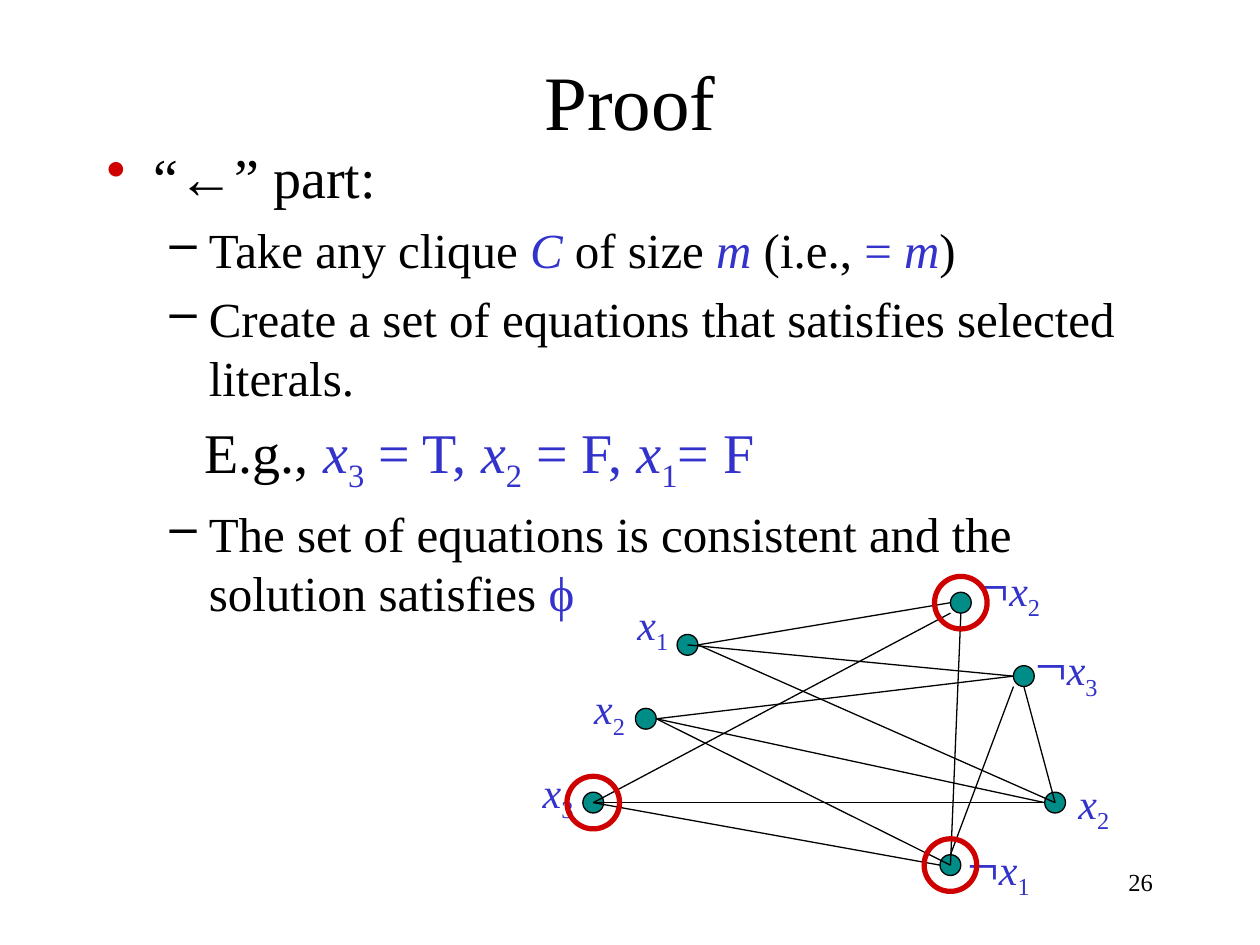
from lxml.etree import SubElement as Sub
from pptx import Presentation
from pptx.dml.color import RGBColor as Rgb
from pptx.enum.shapes import MSO_CONNECTOR as Conn, MSO_SHAPE as Form
from pptx.enum.text import MSO_ANCHOR as Anchor, MSO_AUTO_SIZE as Auto, PP_ALIGN as Align
from pptx.oxml.ns import qn
from pptx.util import Cm, Pt

INK = {"text": "000000", "math": "3333CC", "mark": "CE0000", "node": "008C87"}

# Run styles: plain, blue, variable, subscript
RUNS = {
    "": {"ink": "text"},
    "b": {"ink": "math"},
    "v": {"ink": "math", "italic": True},
    "s": {"ink": "math", "drop": "-25000"},
}

# Paragraph levels: size, left margin and hanging indent in cm, bullet
TOP = {"size": 32, "left": 0.95, "hang": -0.95, "mark": "•", "tint": "mark"}
SUB = {"size": 28, "left": 2.06, "hang": -0.79, "mark": "–"}
CASE = {"size": 32, "left": 1.98, "hang": 0}


class Page:
    font = "Times New Roman"

    def __init__(self, deck):
        self.slide = deck.slides.add_slide(deck.slide_layouts[6])
        self.shapes = self.slide.shapes

    def box(self, x, y, w, h, **fmt):
        frame = self.shapes.add_textbox(Cm(x), Cm(y), Cm(w), Cm(h)).text_frame
        for key, val in {"word_wrap": True, **fmt}.items():
            setattr(frame, key, val)
        return frame

    def fill(self, para, runs, size):
        for text, kind, *own in runs:
            run, look = para.add_run(), RUNS[kind]
            run.text = text
            fmt = {"name": self.font, "size": Pt(own[0] if own else size),
                   "italic": look.get("italic", False)}
            for key, val in fmt.items():
                setattr(run.font, key, val)
            run.font.color.rgb = Rgb.from_string(INK[look["ink"]])
            if "drop" in look:
                run._r.get_or_add_rPr().set("baseline", look["drop"])

    def line(self, frame, text, size, align):
        para = frame.paragraphs[0]
        para.alignment = align
        self.fill(para, [(text, "")], size)

    def list(self, frame, items):
        for n, (level, runs) in enumerate(items):
            para = frame.add_paragraph() if n else frame.paragraphs[0]
            props = para._p.get_or_add_pPr()
            props.set("marL", str(Cm(level["left"])))
            props.set("indent", str(Cm(level["hang"])))
            if "tint" in level:
                tint = Sub(props, qn("a:buClr"))
                Sub(tint, qn("a:srgbClr"), val=INK[level["tint"]])
            if "mark" in level:
                Sub(props, qn("a:buChar"), char=level["mark"])
            if n:
                para.space_before = Pt(0.2 * level["size"])
            self.fill(para, runs, level["size"])

    def disc(self, x, y, r, fill, line, width):
        disc = self.shapes.add_shape(
            Form.OVAL, Cm(x - r), Cm(y - r), Cm(2 * r), Cm(2 * r))
        disc.shadow.inherit = False
        if fill:
            disc.fill.solid()
            disc.fill.fore_color.rgb = Rgb.from_string(INK[fill])
        else:
            disc.fill.background()
        disc.line.color.rgb = Rgb.from_string(INK[line])
        disc.line.width = Pt(width)

    def edge(self, start, end):
        edge = self.shapes.add_connector(
            Conn.STRAIGHT, *(Cm(v) for v in (*start, *end)))
        edge.line.color.rgb = Rgb.from_string(INK["text"])
        edge.line.width = Pt(0.75)
        Sub(edge._element.spPr, qn("a:effectLst"))

    def label(self, x, y, sign, digit):
        w, h = (1.8, 1.6) if sign else (1.17, 1.27)
        frame = self.box(x, y, w, h, word_wrap=False,
                         auto_size=Auto.SHAPE_TO_FIT_TEXT)
        runs = [("¬", "b", 32)] if sign else []
        self.fill(frame.paragraphs[0], runs + [("x", "v"), (digit, "s")], 24)


# Graph nodes: centre, label corner, negation, index
NODES = {
    "x1": (13.86, 13.0, 12.6, 11.94, False, "1"),
    "x2": (13.02, 14.49, 11.73, 13.64, False, "2"),
    "x3": (11.96, 16.18, 10.69, 15.32, False, "3"),
    "not2": (19.37, 12.15, 19.46, 10.97, True, "2"),
    "not3": (20.64, 13.63, 20.62, 12.57, True, "3"),
    "y2": (21.27, 16.18, 21.49, 15.54, False, "2"),
    "not1": (19.16, 17.44, 19.25, 16.59, True, "1"),
}
RAD = 0.21
MID, LEFT, RIGHT, UP, DOWN, LOW = (0, 0), (-1, 0), (1, 0), (0, -1), (0, 1), (-1, 1)

# Edges: node and side at each end
EDGES = [
    ("x1", RIGHT, "not2", LEFT), ("x1", MID, "not3", LEFT),
    ("x1", RIGHT, "y2", MID), ("x2", RIGHT, "not3", LEFT),
    ("x2", RIGHT, "y2", LEFT), ("x2", RIGHT, "not1", MID),
    ("x3", MID, "not2", LOW), ("x3", MID, "y2", LEFT),
    ("x3", MID, "not1", LEFT), ("not2", DOWN, "not1", MID),
    ("not3", DOWN, "y2", MID), ("not3", LOW, "not1", UP),
]
CLIQUE = ["x3", "not2", "not1"]

BODY = [
    (TOP, [("“←” part:", "")]),
    (SUB, [("Take any clique ", ""), ("C ", "v"), ("of size ", ""), ("m ", "v"),
           ("(i.e., ", ""), ("= ", "b"), ("m", "v"), (")", "")]),
    (SUB, [("Create a set of equations that satisfies selected literals.", "")]),
    (CASE, [("E.g., ", ""), ("x", "v"), ("3", "s"), (" = T, ", "b"), ("x", "v"),
            ("2", "s"), (" = F, ", "b"), ("x", "v"), ("1", "s"), ("= F", "b")]),
    (SUB, [("The set of equations is consistent and the solution satisfies ", ""),
           ("ϕ", "b")]),
]


def side(name, way):
    return [c + RAD * d for c, d in zip(NODES[name][:2], way)]


def main():
    deck = Presentation()
    deck.slide_width, deck.slide_height = Cm(25.4), Cm(19.05)
    page = Page(deck)

    # Page number, title and body
    page.line(page.box(18.21, 17.35, 5.28, 1.27), "26", 14, Align.RIGHT)
    title = page.box(1.9, 0.43, 21.6, 3.18, vertical_anchor=Anchor.MIDDLE)
    page.line(title, "Proof", 44, Align.CENTER)
    page.list(page.box(1.9, 2.75, 21.6, 12.7), BODY)

    # Graph
    for x, y, *_ in NODES.values():
        page.disc(x, y, RAD, "node", "text", 0.75)
    for _, _, *label in NODES.values():
        page.label(*label)
    for a, out, b, into in EDGES:
        page.edge(side(a, out), side(b, into))

    # Selected clique
    for name in CLIQUE:
        page.disc(*NODES[name][:2], 0.53, None, "mark", 3)

    deck.save("out.pptx")


if __name__ == "__main__":
    main()
